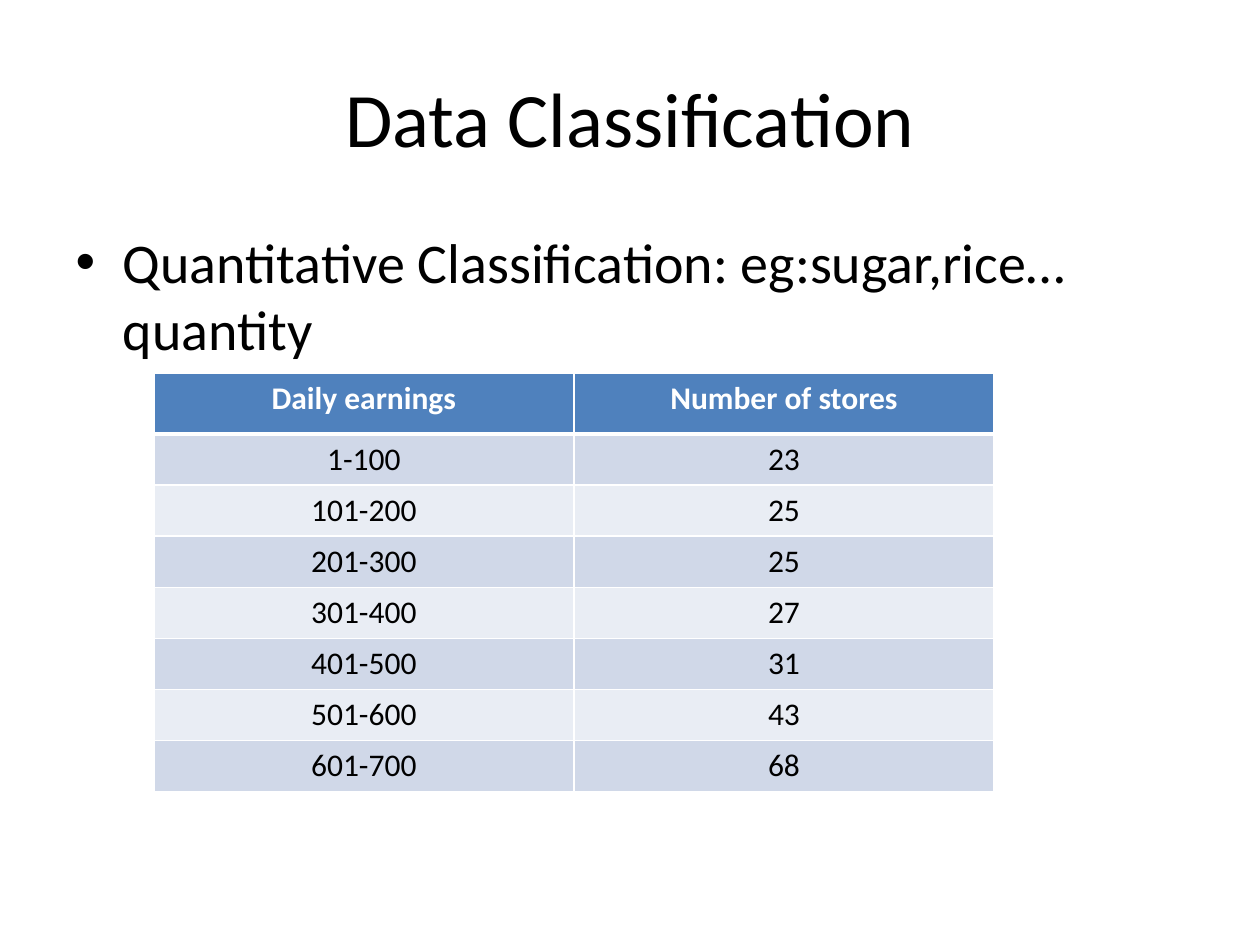
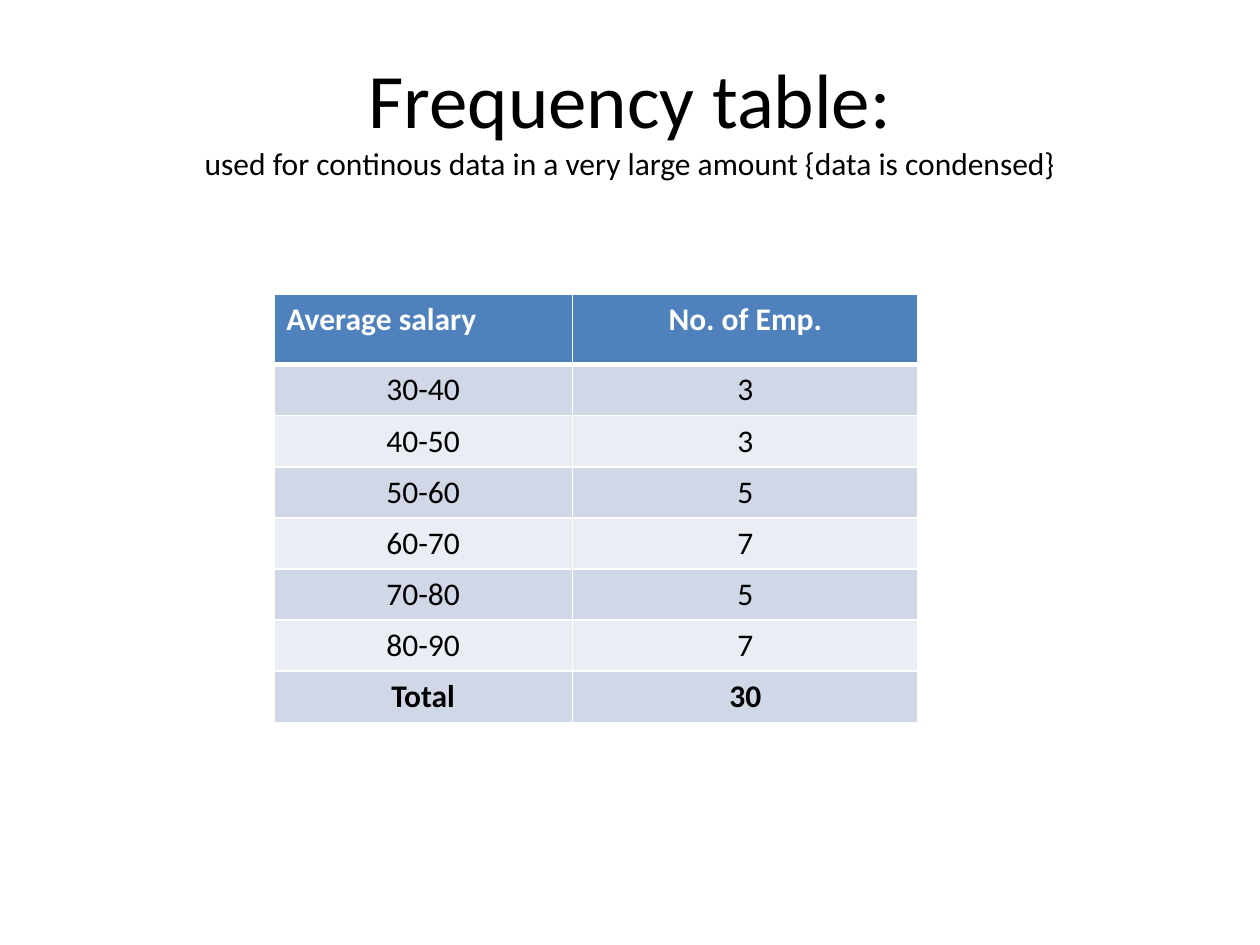
import pptx
import pptx.util
import pptx.dml.color
import pptx.enum.text
import pptx.oxml
import pptx.oxml.ns

Cm, Pt = pptx.util.Cm, pptx.util.Pt
ALIGN = pptx.enum.text.PP_ALIGN
FONT = "Calibri"
COLORS = {
    "text": "000000",
    "header": "4F81BD",
    "header_text": "FFFFFF",
    "rule": "FFFFFF",
    "odd": "D0D8E8",
    "even": "E9EDF4",
}
TITLE_BOX = (1.27, 0.76, 22.86, 3.18)
BODY_BOX = (1.27, 4.45, 22.86, 12.57)
TITLE_ONLY, TITLE_AND_CONTENT = 5, 1

SLIDES = [
    {
        "layout": TITLE_AND_CONTENT,
        "title": [("Data Classification", 44)],
        "point": "Quantitative Classification: eg:sugar,rice…quantity",
        "table": {
            "left": 3.1, "top": 7.53, "widths": (8.47, 8.47),
            "header_height": 1.22, "row_height": 0.99,
            "header_align": (ALIGN.CENTER, ALIGN.CENTER),
            "rows": [
                ("Daily earnings", "Number of stores"),
                ("1-100", "23"),
                ("101-200", "25"),
                ("201-300", "25"),
                ("301-400", "27"),
                ("401-500", "31"),
                ("501-600", "43"),
                ("601-700", "68"),
            ],
        },
    },
    {
        "layout": TITLE_ONLY,
        "title": [
            ("Frequency table:", 44),
            ("used for continous data in a very large amount {data is condensed}", 18),
        ],
        "table": {
            "left": 5.52, "top": 5.93, "widths": (6.02, 6.97),
            "header_height": 1.42, "row_height": 0.93,
            "header_align": (ALIGN.LEFT, ALIGN.CENTER),
            "rows": [
                ("Average salary", "No. of Emp."),
                ("30-40", "3"),
                ("40-50", "3"),
                ("50-60", "5"),
                ("60-70", "7"),
                ("70-80", "5"),
                ("80-90", "7"),
                ("Total", "30"),
            ],
        },
    },
]


def rgb(color):
    return pptx.dml.color.RGBColor.from_string(COLORS[color])


def write(paragraph, text, size=18, color="text", bold=False, align=ALIGN.CENTER):
    paragraph.alignment = align
    run = paragraph.add_run()
    run.text = text
    run.font.name = FONT
    run.font.size = Pt(size)
    run.font.bold = bold
    run.font.color.rgb = rgb(color)


def place(placeholder, box):
    placeholder.left, placeholder.top, placeholder.width, placeholder.height = map(Cm, box)
    return placeholder.text_frame.paragraphs[0]


def add_borders(cell, bottom):
    properties = cell._tc.get_or_add_tcPr()
    for position, (side, width) in enumerate((("L", 1), ("R", 1), ("T", 1), ("B", bottom))):
        properties.insert(position, pptx.oxml.parse_xml(
            f'<a:ln{side} {pptx.oxml.ns.nsdecls("a")} w="{Pt(width)}"><a:solidFill>'
            f'<a:srgbClr val="{COLORS["rule"]}"/></a:solidFill></a:ln{side}>'))


def add_table(slide, left, top, widths, header_height, row_height, header_align, rows):
    heights = [header_height] + [row_height] * (len(rows) - 1)
    table = slide.shapes.add_table(
        len(rows), len(widths), Cm(left), Cm(top), Cm(sum(widths)), Cm(sum(heights))).table
    for column, width in zip(table.columns, widths):
        column.width = Cm(width)
    for row_number, (entries, height) in enumerate(zip(rows, heights)):
        table.rows[row_number].height = Cm(height)
        is_header = row_number == 0
        fill = "header" if is_header else ("even", "odd")[row_number % 2]
        for column_number, entry in enumerate(entries):
            cell = table.cell(row_number, column_number)
            cell.fill.solid()
            cell.fill.fore_color.rgb = rgb(fill)
            add_borders(cell, bottom=3 if is_header else 1)
            write(cell.text_frame.paragraphs[0], entry,
                  color="header_text" if is_header else "text",
                  bold=is_header or entries[0] == "Total",
                  align=header_align[column_number] if is_header else ALIGN.CENTER)


def main():
    deck = pptx.Presentation()
    deck.slide_width, deck.slide_height = Cm(25.4), Cm(19.05)
    for content in SLIDES:
        slide = deck.slides.add_slide(deck.slide_layouts[content["layout"]])
        heading = place(slide.shapes.title, TITLE_BOX)
        for line_number, (line, size) in enumerate(content["title"]):
            if line_number:
                heading.add_line_break()
            write(heading, line, size=size)
        if "point" in content:
            point = place(slide.placeholders[1], BODY_BOX)
            write(point, content["point"], size=32, align=ALIGN.LEFT)
        add_table(slide, **content["table"])
    deck.save("out.pptx")


if __name__ == "__main__":
    main()
